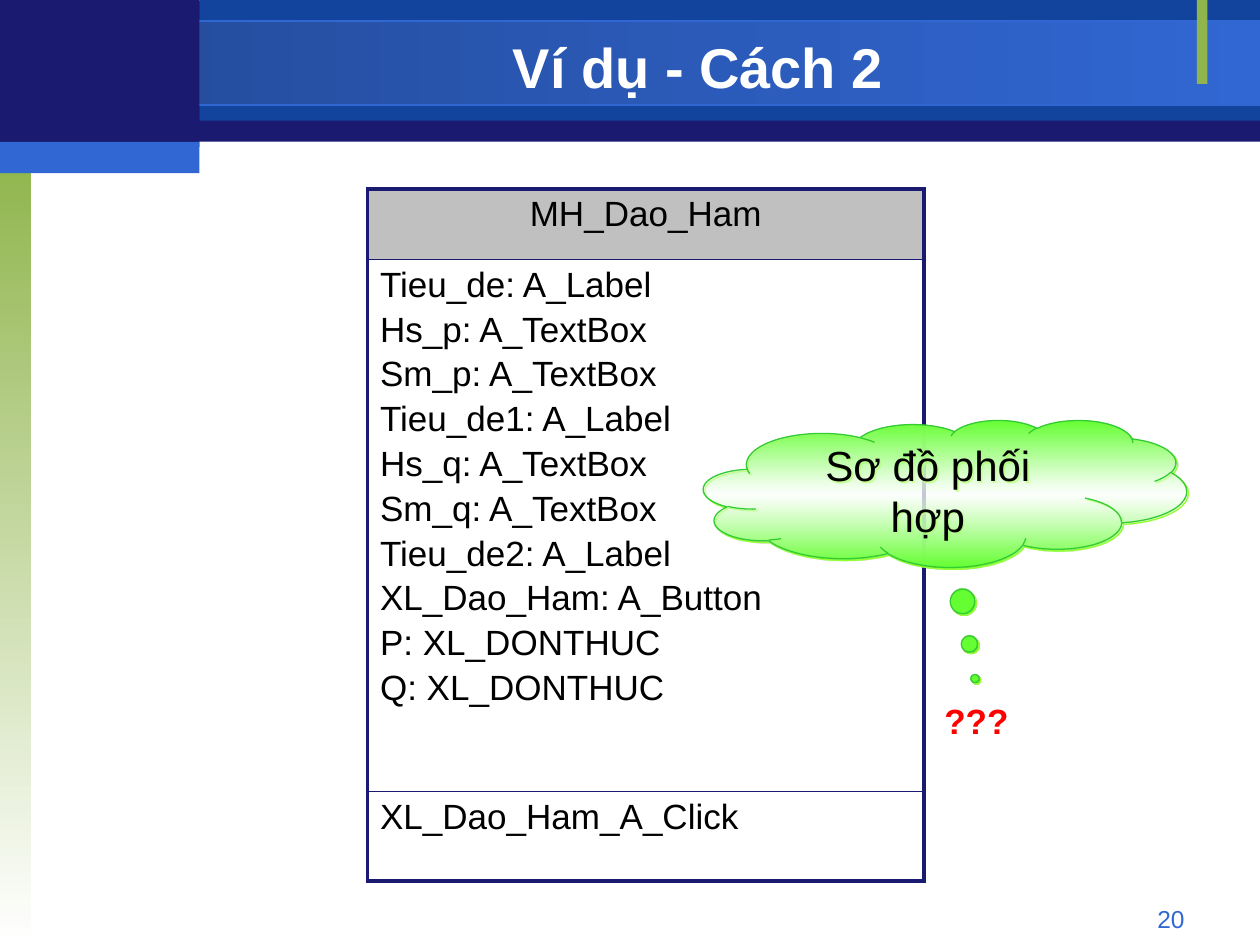
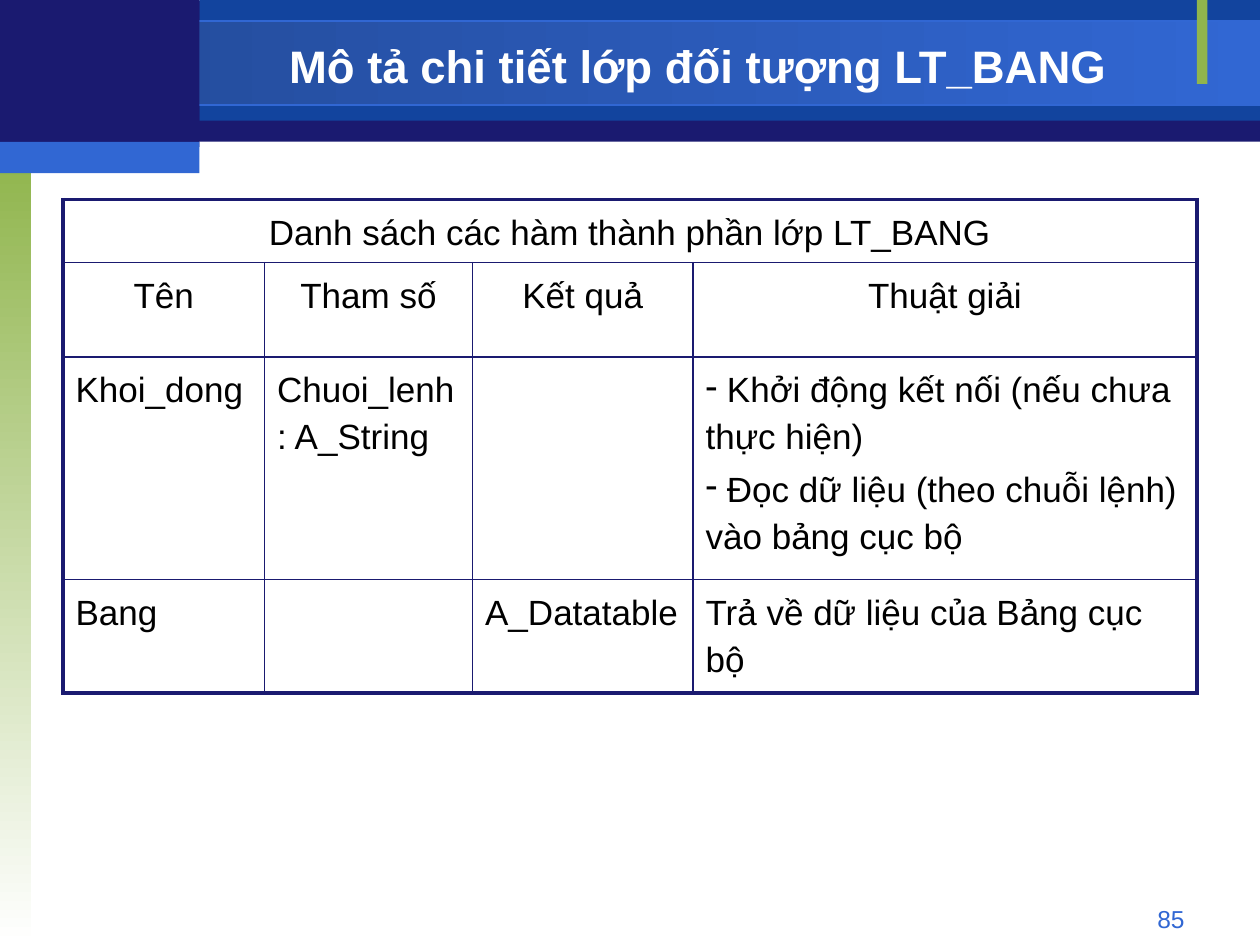
import pptx
import pptx.dml.color
import pptx.enum.shapes
import pptx.enum.text
import pptx.oxml
import pptx.oxml.ns
import pptx.util

COLUMNS, ROWS = 120, 90
UNIT = pptx.util.Inches(10) / COLUMNS
FONT = "Arial"
COLORS = {
    "navy": "1A1A70", "blue": "12449E", "deep": "234A97", "bright": "3167D3",
    "olive": "90B54D", "white": "FFFFFF", "black": "000000", "gray": "C0C0C0",
    "lime": "66FF33", "leaf": "33CC33", "glow": "99FF33", "red": "FF0000",
}
ALIGN = pptx.enum.text.PP_ALIGN
SHAPE = pptx.enum.shapes.MSO_SHAPE
TITLE_ONLY = 5
THICK, THIN = 2.25, 1


def grid(*cells):
    """Turn grid columns and rows into lengths."""
    return [pptx.util.Emu(round(cell * UNIT)) for cell in cells]


def rgb(name):
    return pptx.dml.color.RGBColor.from_string(COLORS[name])


def add_xml(parent, tag, index=None, **attributes):
    element = pptx.oxml.parse_xml(f"<a:{tag} {pptx.oxml.ns.nsdecls('a')}/>")
    for key, value in attributes.items():
        element.set(key, str(value))
    parent.insert(len(parent) if index is None else index, element)
    return element


def add_color(parent, name, alpha=100):
    color = add_xml(parent, "srgbClr", val=COLORS[name])
    if alpha < 100:
        add_xml(color, "alpha", val=alpha * 1000)


def write(frame, text, size=20, color="black", bold=False, align=ALIGN.LEFT,
          gap=3.3, spacing=None):
    """Fill a text frame, one paragraph a line; a leading hyphen is a bullet."""
    for number, line in enumerate(text.split("\n")):
        paragraph = frame.add_paragraph() if number else frame.paragraphs[0]
        if line.startswith("-"):
            properties = paragraph._p.get_or_add_pPr()
            properties.set("marL", "0")
            properties.set("indent", "0")
            add_xml(properties, "buChar", char="-")
            line = line[1:]
        paragraph.alignment = align
        if spacing:
            paragraph.line_spacing = spacing
        if number:
            paragraph.space_before = pptx.util.Pt(gap)
        run = paragraph.add_run()
        run.text = line
        run.font.name, run.font.size = FONT, pptx.util.Pt(size)
        run.font.bold, run.font.color.rgb = bold, rgb(color)


def add_label(shapes, box, text, **style):
    label = shapes.add_textbox(*grid(*box))
    label.text_frame.word_wrap = True
    write(label.text_frame, text, **style)
    return label


def fill_gradient(shape, stops, angle):
    """Stops are (percent, colour name, opacity percent); angle is clockwise."""
    shape.fill.gradient()
    shape.fill.gradient_angle = (360 - angle) % 360
    stop_list = next(shape.element.iter(pptx.oxml.ns.qn("a:gsLst")))
    for stop in list(stop_list):
        stop_list.remove(stop)
    for position, color, alpha in stops:
        add_color(add_xml(stop_list, "gs", pos=position * 1000), color, alpha)


def add_block(shapes, kind, box, fill, angle=0, line=None):
    block = shapes.add_shape(kind, *grid(*box))
    block.shadow.inherit = False
    if isinstance(fill, str):
        block.fill.solid()
        block.fill.fore_color.rgb = rgb(fill)
    else:
        fill_gradient(block, fill, angle)
    if line:
        block.line.color.rgb = rgb(line)
        block.line.width = pptx.util.Pt(0.75)
    else:
        block.line.fill.background()
    return block


def decorate_layout(layout, slide):
    """Draw the shared bands on a slide and move them into its layout."""
    bands = [
        ((0, 0.1, COLUMNS, 13.4), "navy", 0, None),
        ((19, 0, 101, 11.5), "blue", 0, None),
        ((0, 2, COLUMNS, 8), [(0, "deep", 100), (100, "bright", 100)], 0, "bright"),
        ((0, 15, 3, ROWS - 15), [(0, "olive", 100), (100, "white", 100)], 90, None),
        ((114, 0, 1, 8), "olive", 0, None),
        ((0, 0, 19, 14), "navy", 0, None),
        ((0, 13.5, 19, 3), "bright", 0, None),
    ]
    for place, (box, fill, angle, line) in enumerate(bands, start=2):
        band = add_block(slide.shapes, SHAPE.RECTANGLE, box, fill, angle, line)
        layout.shapes.element.insert(place, band.element)


def add_heading(slide, text, size, number):
    title = slide.shapes.title
    title.left, title.top, title.width, title.height = grid(19, 2.75, 95, 7)
    frame = title.text_frame
    frame.word_wrap = True
    frame.auto_size = pptx.enum.text.MSO_AUTO_SIZE.NONE
    frame.vertical_anchor = pptx.enum.text.MSO_ANCHOR.MIDDLE
    write(frame, text, size=size, color="white", bold=True, align=ALIGN.CENTER)
    add_label(slide.shapes, (86, 85.5, 28, 3.2), str(number), size=14,
              color="bright", align=ALIGN.RIGHT)


def border_cell(cell, outer_sides):
    properties = cell._tc.get_or_add_tcPr()
    for place, side in enumerate("LRTB"):
        width = THICK if side in outer_sides else THIN
        line = add_xml(properties, "ln" + side, place, w=pptx.util.Pt(width))
        add_color(add_xml(line, "solidFill"), "navy")


def add_grid_table(slide, corner, widths, heights, rows, centered_rows,
                   spacing=None, header_fill=None):
    """Draw a table with a thick frame; a row with one text spans all columns."""
    box = grid(*corner, sum(widths), sum(heights))
    table = slide.shapes.add_table(len(heights), len(widths), *box).table
    table.first_row = table.horz_banding = False
    for column, width in zip(table.columns, grid(*widths)):
        column.width = width
    for row, height in zip(table.rows, grid(*heights)):
        row.height = height
    last_row, last_column = len(heights) - 1, len(widths) - 1
    for r, texts in enumerate(rows):
        spans = len(texts) <= last_column
        if spans:
            table.cell(r, 0).merge(table.cell(r, last_column))
        for c in range(len(widths)):
            cell = table.cell(r, c)
            if r == 0 and header_fill:
                cell.fill.solid()
                cell.fill.fore_color.rgb = rgb(header_fill)
            else:
                cell.fill.background()
            edges = {"L": c == 0, "R": spans or c == last_column,
                     "T": r == 0, "B": r == last_row}
            border_cell(cell, [side for side, outer in edges.items() if outer])
            if c < len(texts) and texts[c]:
                align = ALIGN.CENTER if r < centered_rows else ALIGN.LEFT
                write(cell.text_frame, texts[c], align=align, spacing=spacing)


def add_thought(slide, text, speaker):
    thought = slide.shapes.add_group_shape().shapes
    cloud = add_block(thought, SHAPE.CLOUD_CALLOUT, (67, 40, 46, 14),
                      [(0, "lime", 100), (50, "white", 50), (100, "lime", 100)],
                      angle=90, line="leaf")
    cloud.adjustments[0], cloud.adjustments[1] = 0.062, 1.259
    effects = next(cloud.element.iter(pptx.oxml.ns.qn("a:effectLst")))
    shadow = add_xml(effects, "outerShdw", dist=pptx.util.Pt(1.4),
                     dir=45 * 60000, algn="ctr", rotWithShape=0)
    add_color(shadow, "glow")
    cloud.text_frame.word_wrap = True
    cloud.text_frame.vertical_anchor = pptx.enum.text.MSO_ANCHOR.MIDDLE
    write(cloud.text_frame, text, size=24, align=ALIGN.CENTER)
    label = add_label(thought, (86, 66, 14, 5.2), speaker, color="red",
                      bold=True, align=ALIGN.CENTER)
    label.text_frame.auto_size = pptx.enum.text.MSO_AUTO_SIZE.SHAPE_TO_FIT_TEXT


def build_example(slide):
    add_heading(slide, "Ví dụ - Cách 2", 32, 20)
    members = [
        "Tieu_de: A_Label", "Hs_p: A_TextBox", "Sm_p: A_TextBox",
        "Tieu_de1: A_Label", "Hs_q: A_TextBox", "Sm_q: A_TextBox",
        "Tieu_de2: A_Label", "XL_Dao_Ham: A_Button",
        "P: XL_DONTHUC", "Q: XL_DONTHUC",
    ]
    rows = [["MH_Dao_Ham"], ["\n".join(members)], ["XL_Dao_Ham_A_Click"]]
    add_grid_table(slide, (35, 18), [53], [6.7, 50.7, 8.5], rows,
                   centered_rows=1, header_fill="gray")
    add_thought(slide, "Sơ đồ phối hợp", "???")


def build_class_details(slide):
    add_heading(slide, "Mô tả chi tiết lớp đối tượng LT_BANG", 26, 85)
    rows = [
        ["Danh sách các hàm thành phần lớp LT_BANG"],
        ["Tên", "Tham số", "Kết quả", "Thuật giải"],
        ["Khoi_dong", "Chuoi_lenh: A_String", "",
         "- Khởi động kết nối (nếu chưa thực hiện)\n"
         "- Đọc dữ liệu (theo chuỗi lệnh) vào bảng cục bộ"],
        ["Bang", "", "A_Datatable", "Trả về dữ liệu của Bảng cục bộ"],
    ]
    add_grid_table(slide, (6, 19), [19.2, 19.8, 21, 48], [6, 9, 21.2, 10.8],
                   rows, centered_rows=2, spacing=1.2)


def main():
    deck = pptx.Presentation()
    deck.slide_width, deck.slide_height = grid(COLUMNS, ROWS)
    layout = deck.slide_layouts[TITLE_ONLY]
    example, class_details = [deck.slides.add_slide(layout) for _ in range(2)]
    decorate_layout(layout, example)
    build_example(example)
    build_class_details(class_details)
    deck.save("out.pptx")


if __name__ == "__main__":
    main()
